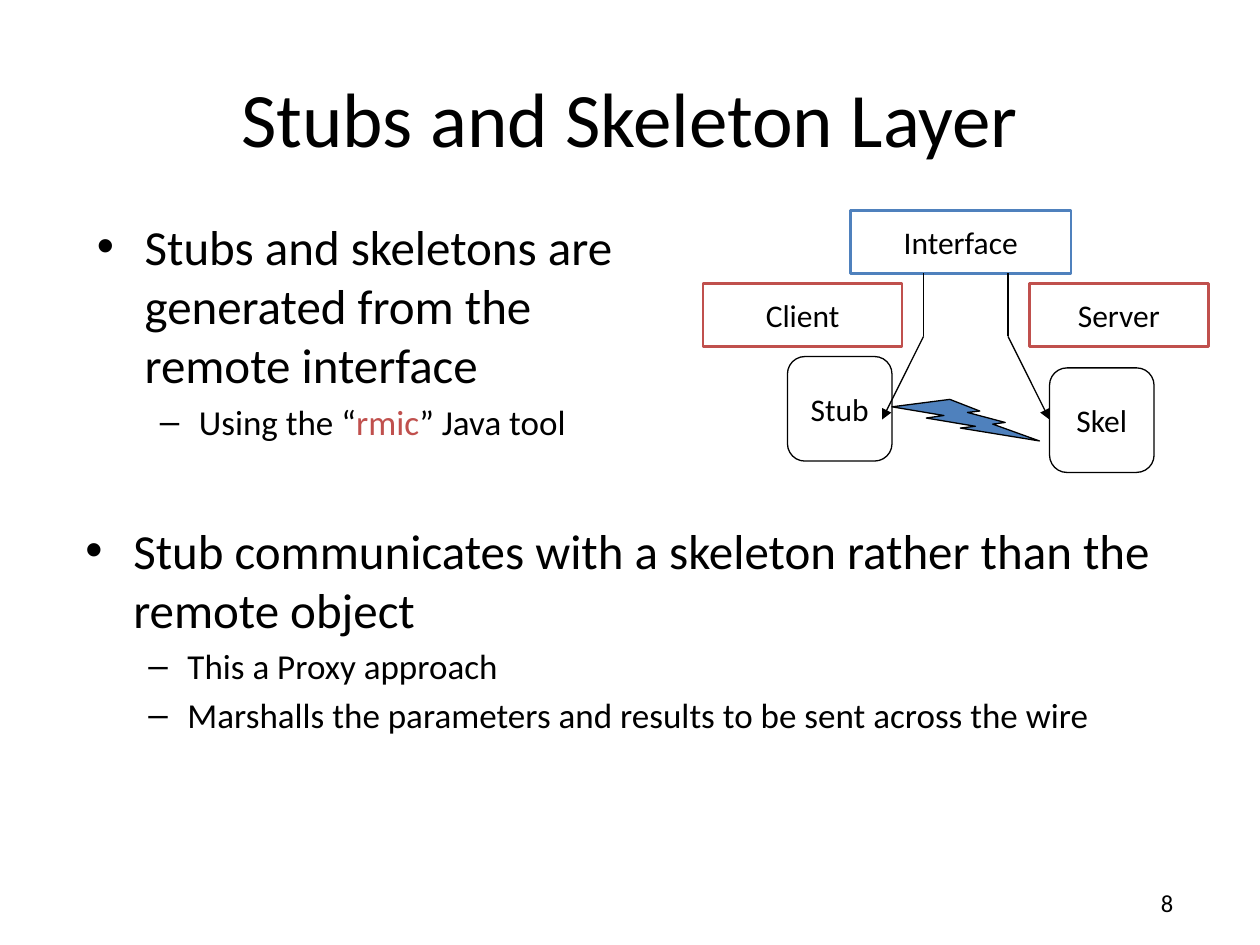
from lxml import etree
from pptx import Presentation
from pptx.dml.color import RGBColor
from pptx.enum.shapes import MSO_CONNECTOR as CONN, MSO_SHAPE as SHAPE
from pptx.enum.text import MSO_ANCHOR as ANCHOR, PP_ALIGN as ALIGN
from pptx.oxml.ns import qn
from pptx.util import Inches, Pt

FONT = "Calibri"
BLACK, BLUE, RED = "000000", "4F81BD", "C0504D"
# Per level: size, left margin, hanging indent, bullet
LEVELS = [(28, 0.38, 0.38, "•"), (20, 0.81, 0.31, "–")]


def rgb(value):
    return RGBColor.from_string(value)


def add_run(p, text, size, color=BLACK):
    r = p.add_run()
    r.text = text
    r.font.name = FONT
    r.font.size = Pt(size)
    r.font.color.rgb = rgb(color)


def add_text(s, box, anchor=ANCHOR.TOP):
    tf = s.shapes.add_textbox(*map(Inches, box)).text_frame
    tf.word_wrap = True
    tf.vertical_anchor = anchor
    return tf


def add_label(s, box, text, size, align, anchor=ANCHOR.TOP):
    p = add_text(s, box, anchor).paragraphs[0]
    p.alignment = align
    add_run(p, text, size)


def add_bullets(s, box, items):
    """Each item is a level and its (text, color) runs."""
    tf = add_text(s, box)
    for i, (level, runs) in enumerate(items):
        size, margin, hanging, bullet = LEVELS[level]
        p = tf.add_paragraph() if i else tf.paragraphs[0]
        p.level = level
        p.space_before = Pt(size * 0.2)
        pPr = p._p.get_or_add_pPr()
        pPr.set("marL", str(Inches(margin)))
        pPr.set("indent", str(-Inches(hanging)))
        etree.SubElement(pPr, qn("a:buFont"), typeface="Arial")
        etree.SubElement(pPr, qn("a:buChar"), char=bullet)
        for text, color in runs:
            add_run(p, text, size, color)


def add_node(s, kind, box, text="", line=BLACK, width=0.75, fill=None):
    sp = s.shapes.add_shape(kind, *map(Inches, box))
    sp.shadow.inherit = False
    sp.line.color.rgb = rgb(line)
    sp.line.width = Pt(width)
    if fill:
        sp.fill.solid()
        sp.fill.fore_color.rgb = rgb(fill)
    else:
        sp.fill.background()
    if text:
        tf = sp.text_frame
        tf.word_wrap = False
        tf.vertical_anchor = ANCHOR.MIDDLE
        tf.paragraphs[0].alignment = ALIGN.CENTER
        add_run(tf.paragraphs[0], text, 18)


def add_line(s, start, end, arrow=False):
    cn = s.shapes.add_connector(CONN.STRAIGHT, *map(Inches, start + end))
    cn.line.color.rgb = rgb(BLACK)
    cn.line.width = Pt(0.75)
    if arrow:
        etree.SubElement(cn.line._get_or_add_ln(), qn("a:tailEnd"), type="triangle")
    etree.SubElement(cn._element.spPr, qn("a:effectLst"))


def add_diagram(s):
    add_node(s, SHAPE.RECTANGLE, (6.75, 1.67, 1.75, 0.5), "Interface", BLUE, 1.5)

    # Interface to stub and skeleton
    for x, tip in ((7.33, 7), (8, 8.33)):
        add_line(s, (x, 2.17), (x, 2.67))
        add_line(s, (x, 2.67), (tip, 3.33), arrow=True)

    # Client and server sides
    for x, width, text in ((5.58, 1.58, "Client"), (8.17, 1.42, "Server")):
        add_node(s, SHAPE.RECTANGLE, (x, 2.25, width, 0.5), text, RED, 1.5)
    add_node(s, SHAPE.LIGHTNING_BOLT, (7.08, 3.17, 1.17, 0.33), fill=BLUE)
    for x, y, text in ((6.25, 2.83, "Stub"), (8.33, 2.92, "Skel")):
        add_node(s, SHAPE.ROUNDED_RECTANGLE, (x, y, 0.83, 0.83), text)


def main():
    prs = Presentation()
    prs.slide_width, prs.slide_height = Inches(10), Inches(7.5)
    s = prs.slides.add_slide(prs.slide_layouts[6])

    # Title
    add_label(s, (0.5, 0.3, 9, 1.25), "Stubs and Skeleton Layer", 44,
              ALIGN.CENTER, ANCHOR.MIDDLE)

    # Bullet text
    add_bullets(s, (0.67, 1.67, 4.67, 5.25), [
        (0, [("Stubs and skeletons are generated from the remote interface", BLACK)]),
        (1, [("Using the “", BLACK), ("rmic", RED), ("” Java tool", BLACK)]),
    ])
    add_bullets(s, (0.58, 4.08, 8.83, 3.08), [
        (0, [("Stub communicates with a skeleton rather than the remote object", BLACK)]),
        (1, [("This a Proxy approach", BLACK)]),
        (1, [("Marshalls the parameters and results to be sent across the wire", BLACK)]),
    ])

    add_diagram(s)

    # Slide number
    add_label(s, (7.33, 7, 2.08, 0.33), "8", 14, ALIGN.RIGHT)
    prs.save("out.pptx")


if __name__ == "__main__":
    main()
